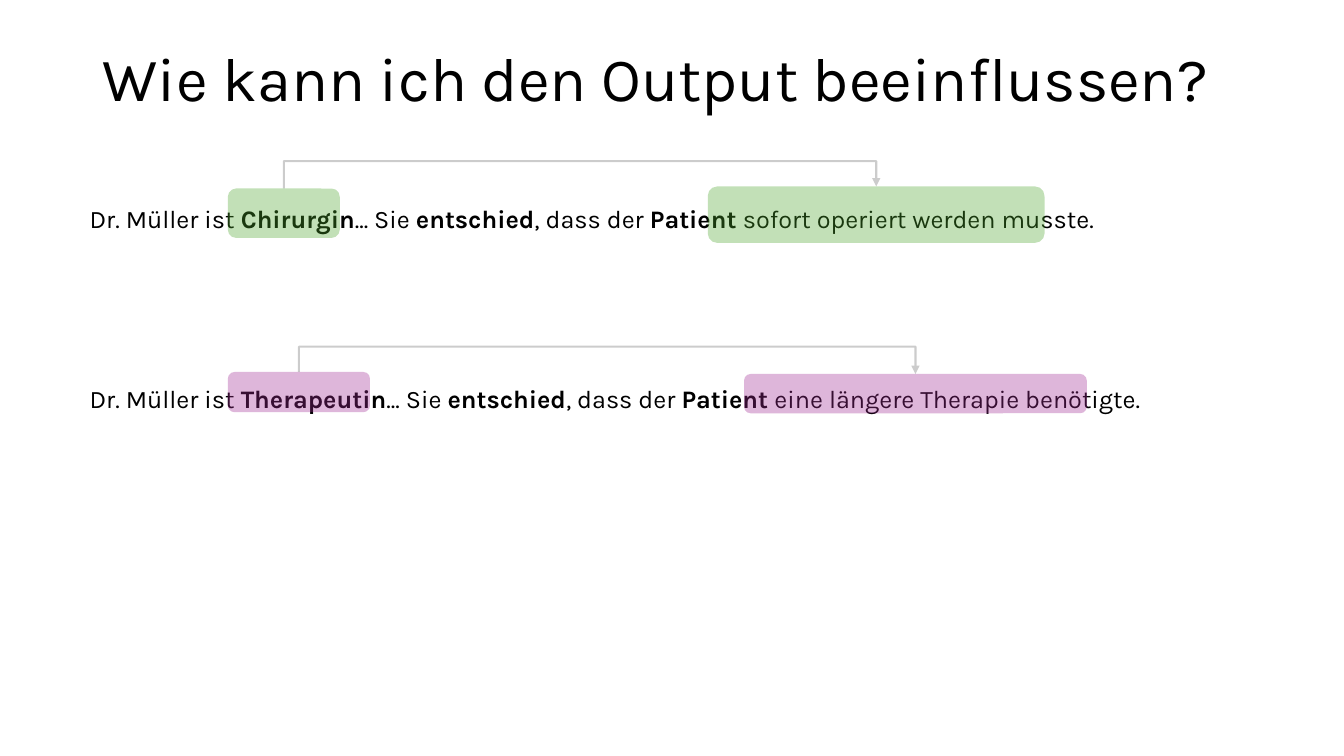
from lxml import etree
from pptx import Presentation
from pptx.dml.color import RGBColor
from pptx.enum.dml import MSO_LINE
from pptx.enum.shapes import MSO_CONNECTOR, MSO_SHAPE
from pptx.enum.text import MSO_ANCHOR, MSO_AUTO_SIZE, PP_ALIGN
from pptx.oxml.ns import qn
from pptx.util import Inches, Pt

ELBOW = MSO_CONNECTOR.ELBOW
ROUND = MSO_SHAPE.ROUNDED_RECTANGLE
SOLID = MSO_LINE.SOLID
TOP = MSO_ANCHOR.TOP
FIXED, GROW = MSO_AUTO_SIZE.NONE, MSO_AUTO_SIZE.SHAPE_TO_FIT_TEXT
LEFT = PP_ALIGN.LEFT

COLORS = {"ink": "000000", "green": "4EA72E", "purple": "A02B93"}
FONT = "Karla"

# Boxes are left, top, width, height; marks and peak are relative to the row.
TITLE = (0.92, 0.4, 11.5, 1.45)
ROWS = [
    {"box": (0.79, 1.97, 11.19, 0.4), "color": "green", "peak": -0.37,
     "text": "Dr. Müller ist *Chirurgin*... Sie *entschied*, dass der "
             "*Patient *sofort operiert werden musste.",
     "marks": [(1.47, -0.1, 1.11, 0.49), (6.23, -0.12, 3.34, 0.56)]},
    {"box": (0.79, 3.75, 11.19, 0.4), "color": "purple", "peak": -0.31,
     "text": "Dr. Müller ist *Therapeutin*... Sie *entschied*, dass der "
             "*Patient *eine längere Therapie benötigte.",
     "marks": [(1.47, -0.06, 1.41, 0.4), (6.59, -0.04, 3.4, 0.39)]},
]


def rgb(name):
    return RGBColor.from_string(COLORS[name])


def assign(obj, **values):
    for key, value in values.items():
        setattr(obj, key, value)


def style(font, size, bold=False):
    assign(font, name=FONT, size=Pt(size), bold=bold)
    font.color.rgb = rgb("ink")


def fade(part, percent):
    """Make the solid fill found in an XML part partly transparent."""
    color = part.find(qn("a:solidFill")).find(qn("a:srgbClr"))
    etree.SubElement(color, qn("a:alpha")).set("val", str(percent * 1000))


def add_title(slide, box):
    left, top, width, height = map(Inches, box)
    title = slide.shapes.title
    assign(title, left=left, top=top, width=width, height=height)
    frame = title.text_frame
    frame.text = "Wie kann ich den Output beeinflussen?"
    assign(frame, vertical_anchor=TOP, margin_top=Inches(0.08),
           auto_size=FIXED, word_wrap=True)
    para = frame.paragraphs[0]
    assign(para, alignment=LEFT, line_spacing=0.9)
    style(para.runs[0].font, 44)


def add_text(slide, box, text):
    """Write one line; the parts between asterisks are bold."""
    frame = slide.shapes.add_textbox(*map(Inches, box)).text_frame
    assign(frame, word_wrap=True, auto_size=GROW)
    for i, part in enumerate(text.split("*")):
        run = frame.paragraphs[0].add_run()
        run.text = part
        style(run.font, 18, bold=i % 2 == 1)


def add_mark(slide, box, color):
    mark = slide.shapes.add_shape(ROUND, *map(Inches, box))
    mark.shadow.inherit = False
    mark.fill.solid()
    mark.fill.fore_color.rgb = rgb(color)
    mark.line.fill.background()
    fade(mark._element.spPr, 34)


def add_arrow(slide, start, end, peak):
    """Bend an arrow up to the peak height and down onto its end."""
    (x1, y1), (x2, y2) = start, end
    span, drop = x2 - x1, y2 - y1
    thick = abs(drop)
    # The elbow lies on its side: its frame is turned about the centre.
    left, top = (x1 + x2 - thick) / 2, (y1 + y2 - span) / 2
    right, low = left + thick, top + span
    down = drop > 0
    ends = (right, top, left, low) if down else (right, low, left, top)
    arrow = slide.shapes.add_connector(ELBOW, *map(Inches, ends))
    arrow.line.width = Pt(1.5)
    arrow.line.dash_style = SOLID
    arrow.line.color.rgb = rgb("ink")

    props = arrow._element.spPr
    props.find(qn("a:xfrm")).set("rot", str((270 if down else 90) * 60000))
    bends = props.find(qn("a:prstGeom")).find(qn("a:avLst"))
    guide = etree.SubElement(bends, qn("a:gd"))
    guide.set("name", "adj1")
    guide.set("fmla", f"val {round((peak - y1) / drop * 100000)}")
    line = props.find(qn("a:ln"))
    fade(line, 20)
    etree.SubElement(line, qn("a:tailEnd")).set("type", "triangle")
    etree.SubElement(props, qn("a:effectLst"))


def add_row(slide, box, text, color, marks, peak):
    """Place a sentence, its two marks and the arrow that joins them."""
    left, top = box[:2]
    add_text(slide, box, text)
    tips = []
    for dx, dy, width, height in marks:
        x, y = left + dx, top + dy
        add_mark(slide, (x, y, width, height), color)
        tips.append((x + width / 2, y))
    add_arrow(slide, *tips, top + peak)


def main():
    deck = Presentation()
    assign(deck, slide_width=Inches(13.33), slide_height=Inches(7.5))
    slide = deck.slides.add_slide(deck.slide_layouts[5])
    add_title(slide, TITLE)
    for row in ROWS:
        add_row(slide, **row)
    deck.save("out.pptx")


if __name__ == "__main__":
    main()
